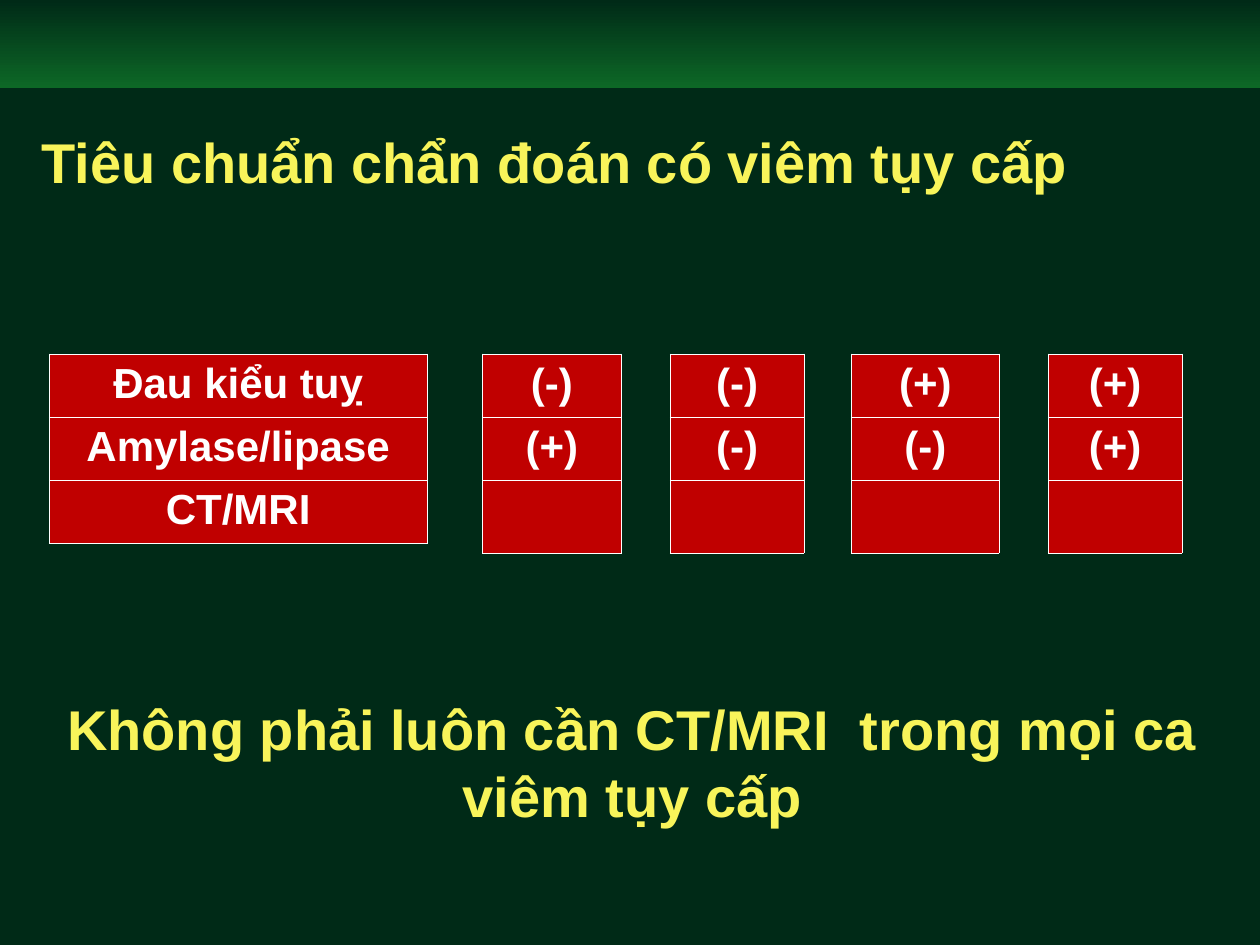
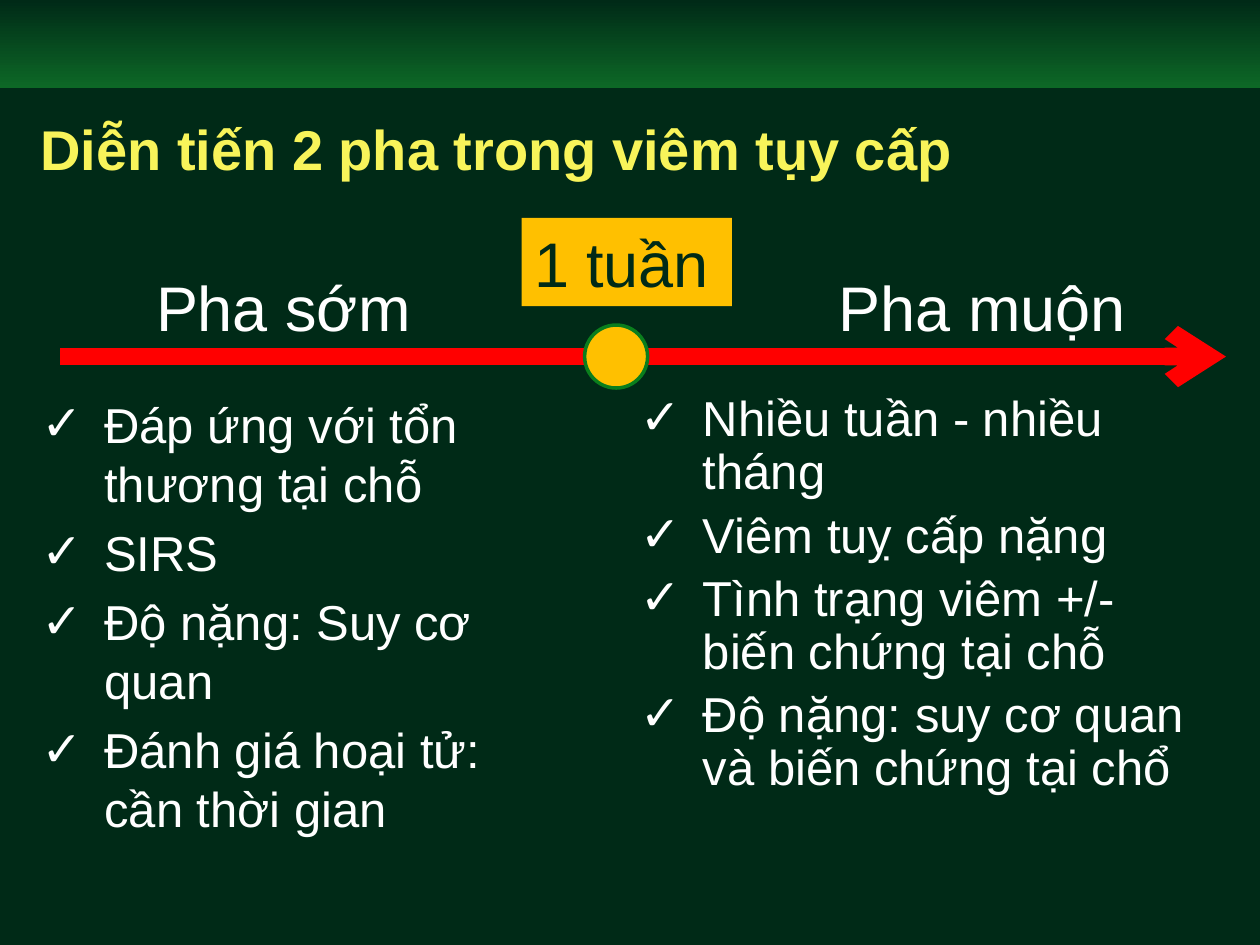
from lxml.etree import SubElement
from pptx import Presentation
from pptx.dml.color import RGBColor
from pptx.enum.shapes import MSO_CONNECTOR, MSO_SHAPE
from pptx.enum.text import MSO_ANCHOR as Anchor, PP_ALIGN as Align
from pptx.oxml.ns import qn
from pptx.util import Inches, Pt

COLORS = {
    "background": "002A17",
    "band": "0D6826",
    "heading": "F8F45A",
    "text": "FFFFFF",
    "cell": "C00000",
    "marker": "FFC000",
    "marker_edge": "0A7E1D",
    "timeline": "FF0000",
}
FONT = "Arial"


def color(name):
    """Return the named palette colour."""
    return RGBColor.from_string(COLORS[name])


class Pages:
    """Hold the deck style and draw elements on the current slide."""

    def __init__(self):
        """Open a deck with the shared background."""
        self.deck = Presentation()
        self.deck.slide_width = Inches(10)
        self.deck.slide_height = Inches(7.5)
        self.layout = self.deck.slide_layouts[5]
        fill = self.layout.background.fill
        fill.solid()
        fill.fore_color.rgb = color("background")
        self.page = None

    def add_page(self, title, left, top):
        """Start a slide with a title; the first one also sets the layout band."""
        first = self.page is None
        self.page = self.deck.slides.add_slide(self.layout)
        if first:
            self.add_layout_band()
        box = self.page.shapes.title
        self.place(box, left, top, 9.26, 1.21)
        self.set_text(box.text_frame, [title], 32, "heading", bold=True)
        box.text_frame.vertical_anchor = Anchor.MIDDLE

    def add_layout_band(self):
        """Draw the gradient band and move it to the layout."""
        band = self.add_shape(MSO_SHAPE.RECTANGLE, 0, 0, 10, 0.7)
        band.fill.gradient()
        band.fill.gradient_angle = 90
        for stop, name in zip(band.fill.gradient_stops, ("band", "background")):
            stop.color.rgb = color(name)
        band.line.fill.background()
        self.layout.shapes.element.insert(2, band.element)

    def place(self, shape, left, top, width, height):
        """Set the position and size of a shape."""
        shape.left, shape.top = Inches(left), Inches(top)
        shape.width, shape.height = Inches(width), Inches(height)

    def set_text(self, frame, lines, size, tint, bold=False, align=Align.LEFT):
        """Fill a text frame with one paragraph per line."""
        frame.text = "\n".join(lines)
        frame.word_wrap = True
        for para in frame.paragraphs:
            para.alignment = align
            for span in para.runs:
                span.font.name = FONT
                span.font.size = Pt(size)
                span.font.bold = bold
                span.font.color.rgb = color(tint)

    def add_text(self, lines, left, top, width, height, size, tint="text", **style):
        """Add a wrapped text box."""
        box = self.page.shapes.add_textbox(
            Inches(left), Inches(top), Inches(width), Inches(height))
        self.set_text(box.text_frame, lines, size, tint, **style)
        return box

    def add_checklist(self, lines, left, width, height, spacing=1.0):
        """Add a list with check marks."""
        box = self.add_text(lines, left, 3.08, width, height, 28)
        for para in box.text_frame.paragraphs:
            para.line_spacing = spacing
            para.space_after = Pt(6)
            props = para._p.get_or_add_pPr()
            props.set("marL", str(Inches(0.5)))
            props.set("indent", str(-Inches(0.5)))
            tint = SubElement(props, qn("a:buClr"))
            SubElement(tint, qn("a:srgbClr"), val=COLORS["text"])
            SubElement(props, qn("a:buFont"), typeface=FONT)
            SubElement(props, qn("a:buChar"), char="✓")

    def add_shape(self, kind, left, top, width, height):
        """Add a preset shape without a shadow."""
        shape = self.page.shapes.add_shape(
            kind, Inches(left), Inches(top), Inches(width), Inches(height))
        shape.shadow.inherit = False
        return shape

    def add_marker(self, left, top, size):
        """Add a round marker."""
        marker = self.add_shape(MSO_SHAPE.OVAL, left, top, size, size)
        marker.fill.solid()
        marker.fill.fore_color.rgb = color("marker")
        marker.line.color.rgb = color("marker_edge")
        marker.line.width = Pt(2)

    def add_arrow(self, start, end, level):
        """Add a thick horizontal arrow."""
        arrow = self.page.shapes.add_connector(
            MSO_CONNECTOR.STRAIGHT, Inches(start), Inches(level), Inches(end), Inches(level))
        arrow.line.color.rgb = color("timeline")
        arrow.line.width = Pt(10)
        SubElement(arrow.line._get_or_add_ln(), qn("a:tailEnd"), type="arrow")
        SubElement(arrow._element.spPr, qn("a:effectLst"))

    def add_column(self, entries, left, width, last_height):
        """Add a one-column table with thin borders."""
        heights = [0.5, 0.5, last_height]
        table = self.page.shapes.add_table(
            len(entries), 1, Inches(left), Inches(2.81), Inches(width),
            Inches(sum(heights))).table
        table.first_row = table.horz_banding = False
        for row, entry, height in zip(table.rows, entries, heights):
            row.height = Inches(height)
            cell = row.cells[0]
            self.set_text(cell.text_frame, [entry], 24, "text", bold=True, align=Align.CENTER)
            self.add_borders(cell)
            cell.fill.solid()
            cell.fill.fore_color.rgb = color("cell")

    def add_borders(self, cell):
        """Outline the four sides of a table cell."""
        props = cell._tc.get_or_add_tcPr()
        for side in ("lnL", "lnR", "lnT", "lnB"):
            line = SubElement(props, qn(f"a:{side}"), w=str(Pt(0.45)))
            fill = SubElement(line, qn("a:solidFill"))
            SubElement(fill, qn("a:srgbClr"), val=COLORS["text"])


def add_criteria(pages):
    """Build the slide with the diagnostic criteria."""
    pages.add_page("Tiêu chuẩn chẩn đoán có viêm tụy cấp", 0.23, 0.67)
    pages.add_column(["Đau kiểu tuỵ", "Amylase/lipase", "CT/MRI"], 0.39, 3, 0.5)
    cases = [
        ("(-)", "(+)", 3.83, 1.1),
        ("(-)", "(-)", 5.32, 1.06),
        ("(+)", "(-)", 6.76, 1.17),
        ("(+)", "(+)", 8.32, 1.06),
    ]
    for pain, enzyme, left, width in cases:
        pages.add_column([pain, enzyme, ""], left, width, 0.58)
    conclusion = pages.add_text(
        ["Không phải luôn cần CT/MRI  trong mọi ca viêm tụy cấp"],
        0.39, 5.44, 9.26, 1.21, 32, "heading", bold=True, align=Align.CENTER)
    conclusion.text_frame.vertical_anchor = Anchor.MIDDLE


def add_phases(pages):
    """Build the slide with the two phases."""
    pages.add_page("Diễn tiến 2 pha trong viêm tụy cấp", 0.22, 0.57)
    pages.add_arrow(0.48, 9.73, 2.83)
    pages.add_marker(4.64, 2.58, 0.5)
    week = pages.add_text(["1 tuần"], 4.14, 1.73, 1.67, 0.7, 36, "background")
    week.fill.solid()
    week.fill.fore_color.rgb = color("marker")
    pages.add_text(["Pha sớm"], 1.14, 2.08, 2.83, 0.7, 36)
    pages.add_text(["Pha muộn"], 6.56, 2.08, 2.92, 0.7, 36)
    pages.add_checklist([
        "Đáp ứng với tổn thương tại chỗ",
        "SIRS",
        "Độ nặng: Suy cơ quan",
        "Đánh giá hoại tử:  cần thời gian",
    ], 0.23, 4.08, 3.62)
    pages.add_checklist([
        "Nhiều tuần - nhiều tháng",
        "Viêm tuỵ cấp nặng",
        "Tình trạng viêm +/- biến chứng tại chỗ",
        "Độ nặng: suy cơ quan và biến chứng tại chổ",
    ], 4.98, 4.67, 3.29, 0.9)


def main():
    """Build and save the deck."""
    pages = Pages()
    add_criteria(pages)
    add_phases(pages)
    pages.deck.save("out.pptx")


if __name__ == "__main__":
    main()
